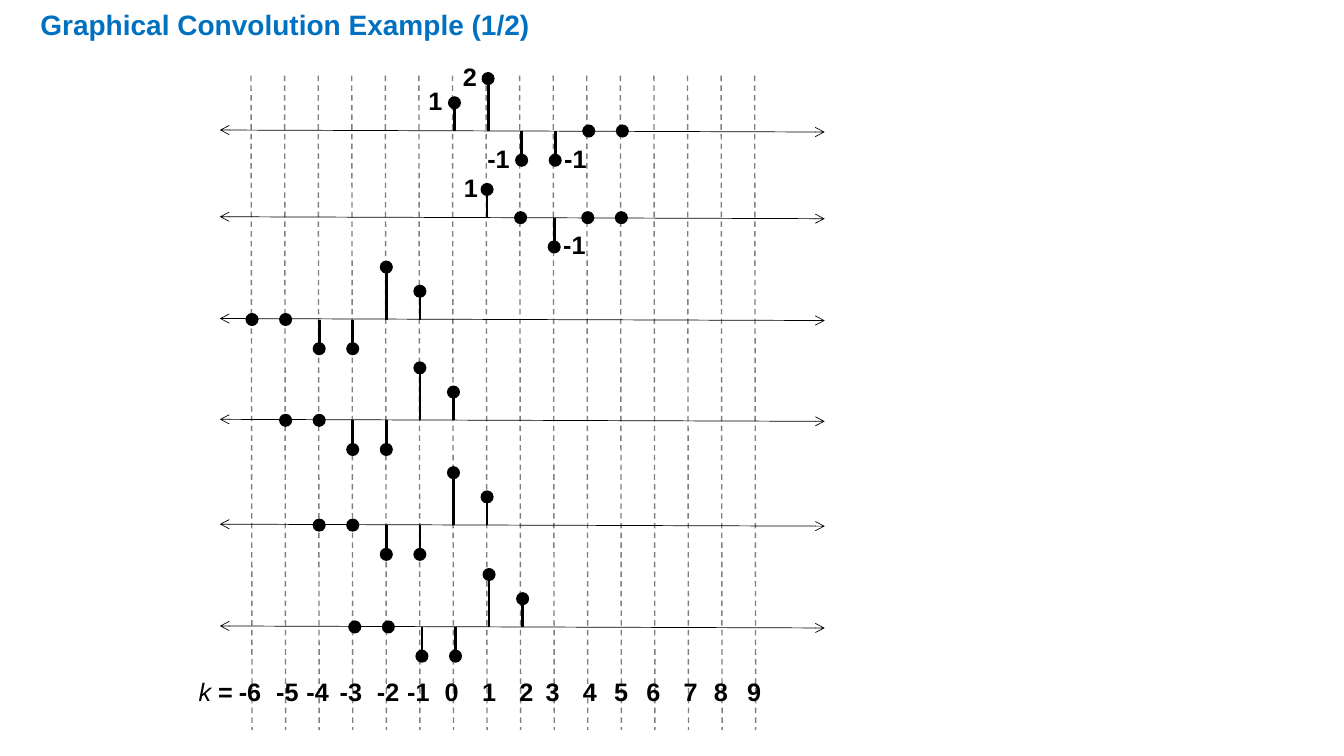
from pptx import Presentation
from pptx.dml.color import RGBColor
from pptx.enum.dml import MSO_LINE_DASH_STYLE as DASH
from pptx.enum.shapes import MSO_CONNECTOR as CONNECTOR, MSO_SHAPE as SHAPE
from pptx.enum.text import MSO_ANCHOR as ANCHOR, PP_ALIGN as ALIGN
from pptx.oxml.ns import qn
from pptx.util import Inches, Pt
from lxml.etree import SubElement

COLORS = {"title": "0070C0", "ink": "000000"}
FONT = "Arial"

# Index grid: k = -6 sits at GRID_LEFT, one step per index
FIRST_K, LAST_K = -6, 9
GRID_LEFT, STEP = 2.49, 0.333
GRID_TOP, GRID_BOTTOM = 0.75, 7.24
AXIS_LEFT, AXIS_RIGHT = 2.18, 8.18
DOT = 0.13
HEIGHTS = {2: 0.52, 1: 0.28, 0: 0, -1: -0.29}
TAB_STOPS = [0.51, 0.88, 1.18, 1.51, 1.88, 2.18, 2.51, 2.88,
             3.25, 3.51, 3.88, 4.19, 4.51, 4.88, 5.18, 5.51]

# Signals: axis height, nudge from the grid, first index, samples
FLIPPED = [0, 0, -1, -1, 2, 1]
SIGNALS = [
    (1.3, 0.02, 0, [1, 2, -1, -1, 0, 0]),
    (2.16, 0.01, 1, [1, 0, -1, 0, 0]),
    (3.17, 0.01, -6, FLIPPED),
    (4.17, 0.01, -5, FLIPPED),
    (5.21, 0.01, -4, FLIPPED),
    (6.22, 0.03, -3, FLIPPED),
]
# Distance of each value label from its dot, by (signal, index)
LABELS = {(0, 0): -0.19, (0, 1): -0.18, (0, 2): -0.23, (0, 3): 0.2,
          (1, 1): -0.16, (1, 3): 0.2}


def rgb(name):
    return RGBColor.from_string(COLORS[name])


def grid_x(k):
    return GRID_LEFT + (k - FIRST_K) * STEP


def add_text(slide, runs, left, top, width, height=0.3, size=18, color="ink",
             align=ALIGN.LEFT, spacing=1.0, tabs=()):
    """Each run is (text, bold, italic)."""
    sp = slide.shapes.add_textbox(Inches(left), Inches(top),
                                  Inches(width), Inches(height))
    tf = sp.text_frame
    tf.word_wrap = True
    tf.vertical_anchor = ANCHOR.TOP
    tf.margin_left = tf.margin_right = tf.margin_top = tf.margin_bottom = 0
    p = tf.paragraphs[0]
    p.alignment, p.line_spacing = align, spacing
    if tabs:
        tab_list = SubElement(p._p.get_or_add_pPr(), qn("a:tabLst"))
        for stop in tabs:
            SubElement(tab_list, qn("a:tab"), pos=str(Inches(stop)), algn="ctr")
    for text, bold, italic in runs:
        r = p.add_run()
        r.text = text
        r.font.name, r.font.size = FONT, Pt(size)
        r.font.bold, r.font.italic = bold, italic
        r.font.color.rgb = rgb(color)


def add_line(slide, x1, y1, x2, y2, width):
    line = slide.shapes.add_connector(CONNECTOR.STRAIGHT, Inches(x1), Inches(y1),
                                      Inches(x2), Inches(y2))
    line.line.width = Pt(width)
    line.line.color.rgb = rgb("ink")
    SubElement(line._element.spPr, qn("a:effectLst"))
    return line


def add_grid_line(slide, k):
    x = grid_x(k)
    line = add_line(slide, x, GRID_TOP, x + 0.01, GRID_BOTTOM, 1)
    line.line.dash_style = DASH.DASH
    color = line.line._ln.find(".//" + qn("a:srgbClr"))
    SubElement(color, qn("a:alpha"), val="50000")


def add_axis(slide, y):
    ln = add_line(slide, AXIS_LEFT, y - 0.01, AXIS_RIGHT, y + 0.01, 0.5).line._ln
    for end in ("a:headEnd", "a:tailEnd"):
        SubElement(ln, qn(end), type="arrow")


def add_sample(slide, x, axis_y, value):
    """Draw stem and dot, and return the height of the dot's centre."""
    y = axis_y - HEIGHTS[value]
    if value:
        add_line(slide, x, axis_y, x, y, 2)
    sp = slide.shapes.add_shape(SHAPE.OVAL, Inches(x - DOT / 2), Inches(y - DOT / 2),
                                Inches(DOT), Inches(DOT))
    sp.shadow.inherit = False
    sp.fill.solid()
    sp.fill.fore_color.rgb = rgb("ink")
    sp.line.fill.background()
    return y


def main():
    prs = Presentation()
    prs.slide_width, prs.slide_height = Inches(13.33), Inches(7.5)
    slide = prs.slides.add_slide(prs.slide_layouts[6])

    # Title
    add_text(slide, [("Graphical Convolution Example (1/2)", True, False)],
             0.4, 0.11, 6.15, size=20, color="title", spacing=0.9)

    # Index grid
    indices = range(FIRST_K, LAST_K + 1)
    for k in indices:
        add_grid_line(slide, k)

    # Signals with their value labels
    for row, (axis_y, nudge, first, samples) in enumerate(SIGNALS):
        add_axis(slide, axis_y)
        for k, value in enumerate(samples, first):
            x = grid_x(k) + nudge
            y = add_sample(slide, x, axis_y, value)
            if (row, k) in LABELS:
                add_text(slide, [(str(value), True, False)],
                         x + LABELS[row, k] - 0.2, y - 0.17, 0.4,
                         align=ALIGN.CENTER)

    # Index captions
    captions = "=" + "".join(f"\t{k}" for k in indices)
    add_text(slide, [("k ", False, True), (captions, True, False)],
             1.97, 6.71, 6.78, tabs=TAB_STOPS)

    prs.save("out.pptx")


if __name__ == "__main__":
    main()
